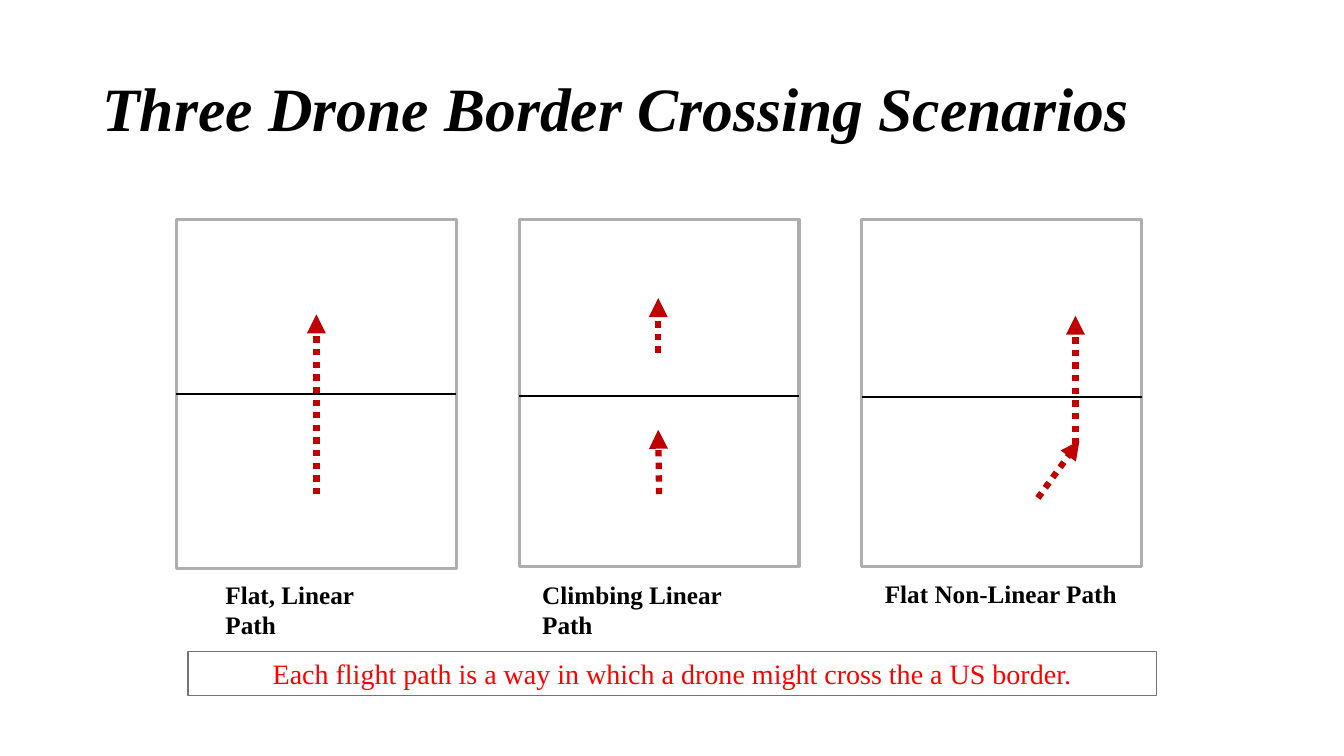
from dataclasses import dataclass

from lxml.etree import SubElement
from pptx import Presentation
from pptx.dml.color import RGBColor
from pptx.enum.dml import MSO_LINE_DASH_STYLE as Dash
from pptx.enum.shapes import MSO_CONNECTOR as Connector, MSO_SHAPE as Shape
from pptx.enum.text import MSO_ANCHOR as Anchor, PP_ALIGN as Align
from pptx.oxml.ns import qn
from pptx.shapes.autoshape import Shape as AutoShape
from pptx.shapes.connector import Connector as Line
from pptx.slide import Slide
from pptx.util import Pt


@dataclass(frozen=True)
class Theme:
    font: str = "Times New Roman"
    ink: RGBColor = RGBColor(0x00, 0x00, 0x00)
    frame: RGBColor = RGBColor(0xAE, 0xAE, 0xAE)
    flight: RGBColor = RGBColor(0xC0, 0x00, 0x00)
    note: RGBColor = RGBColor(0xFF, 0x00, 0x00)
    note_frame: RGBColor = RGBColor(0x74, 0x74, 0x74)
    title_size: float = 44
    label_size: float = 18
    note_size: float = 20


@dataclass(frozen=True)
class Box:
    left: float
    top: float
    width: float
    height: float


@dataclass(frozen=True)
class Flight:
    start: tuple[float, float]
    end: tuple[float, float]


@dataclass(frozen=True)
class Scenario:
    label: str
    label_box: Box
    height: float
    border_y: float
    flights: tuple[Flight, ...]


THEME = Theme()
PANEL_LEFT, PANEL_TOP, PANEL_WIDTH, PANEL_STEP = 126, 157, 200, 244.8

SCENARIOS = (
    Scenario("Flat, Linear Path", Box(154, 410.4, 144, 29), 249, 281.5,
             (Flight((226, 353), (226, 224.6)),)),
    Scenario("Climbing Linear Path", Box(380.2, 410.4, 180, 29), 247.4, 283,
             (Flight((470.8, 353), (470.2, 307)),
              Flight((470.2, 252), (470.2, 213)))),
    Scenario("Flat Non-Linear Path", Box(625, 409.6, 185, 29), 247.4, 283.7,
             (Flight((741.4, 355.7), (771, 314.8)),
              Flight((768.2, 317.5), (768.2, 225.5)))),
)


def write(shape: AutoShape, text: str, size: float, color: RGBColor,
          bold: bool = False, italic: bool = False) -> None:
    text_frame = shape.text_frame
    text_frame.word_wrap = True
    text_frame.text = text
    font = text_frame.paragraphs[0].runs[0].font
    font.name, font.size = THEME.font, Pt(size)
    font.bold, font.italic = bold, italic
    font.color.rgb = color


def add_text(slide: Slide, box: Box) -> AutoShape:
    return slide.shapes.add_textbox(
        Pt(box.left), Pt(box.top), Pt(box.width), Pt(box.height))


def add_frame(slide: Slide, box: Box, color: RGBColor, weight: float) -> AutoShape:
    frame = slide.shapes.add_shape(
        Shape.RECTANGLE, Pt(box.left), Pt(box.top), Pt(box.width), Pt(box.height))
    frame.shadow.inherit = False
    frame.fill.background()
    frame.line.color.rgb = color
    frame.line.width = Pt(weight)
    return frame


def add_line(slide: Slide, start: tuple[float, float], end: tuple[float, float],
             color: RGBColor, weight: float) -> Line:
    line = slide.shapes.add_connector(
        Connector.STRAIGHT, Pt(start[0]), Pt(start[1]), Pt(end[0]), Pt(end[1]))
    line.line.color.rgb = color
    line.line.width = Pt(weight)
    SubElement(line._element.spPr, qn("a:effectLst"))
    return line


def add_flight(slide: Slide, flight: Flight) -> None:
    arrow = add_line(slide, flight.start, flight.end, THEME.flight, 4.5)
    arrow.line.dash_style = Dash.ROUND_DOT
    SubElement(arrow.line._get_or_add_ln(), qn("a:tailEnd"), type="triangle")


def add_scenario(slide: Slide, scenario: Scenario, left: float) -> None:
    panel = add_frame(slide, Box(left, PANEL_TOP, PANEL_WIDTH, scenario.height),
                      THEME.frame, 2.25)
    border = add_line(slide, (left, scenario.border_y),
                      (left + PANEL_WIDTH, scenario.border_y), THEME.ink, 1.5)
    if scenario.border_y == PANEL_TOP + scenario.height / 2:
        border.begin_connect(panel, 1)
        border.end_connect(panel, 3)
    for flight in scenario.flights:
        add_flight(slide, flight)
    label = add_text(slide, scenario.label_box)
    write(label, scenario.label, THEME.label_size, THEME.ink, bold=True)


def main() -> None:
    presentation = Presentation()
    presentation.slide_width, presentation.slide_height = Pt(960), Pt(540)
    slide = presentation.slides.add_slide(presentation.slide_layouts[6])

    title = add_text(slide, Box(66, 27.4, 828, 104.4))
    write(title, "Three Drone Border Crossing Scenarios",
          THEME.title_size, THEME.ink, bold=True, italic=True)
    title.text_frame.vertical_anchor = Anchor.MIDDLE
    title.text_frame.paragraphs[0].line_spacing = 0.9

    for index, scenario in enumerate(SCENARIOS):
        add_scenario(slide, scenario, PANEL_LEFT + index * PANEL_STEP)

    note = add_frame(slide, Box(134.3, 465.1, 692, 31.5), THEME.note_frame, 0.75)
    write(note, "Each flight path is a way in which a drone might cross the a US border.",
          THEME.note_size, THEME.note)
    note.text_frame.vertical_anchor = Anchor.TOP
    note.text_frame.paragraphs[0].alignment = Align.CENTER

    presentation.save("out.pptx")


if __name__ == "__main__":
    main()
